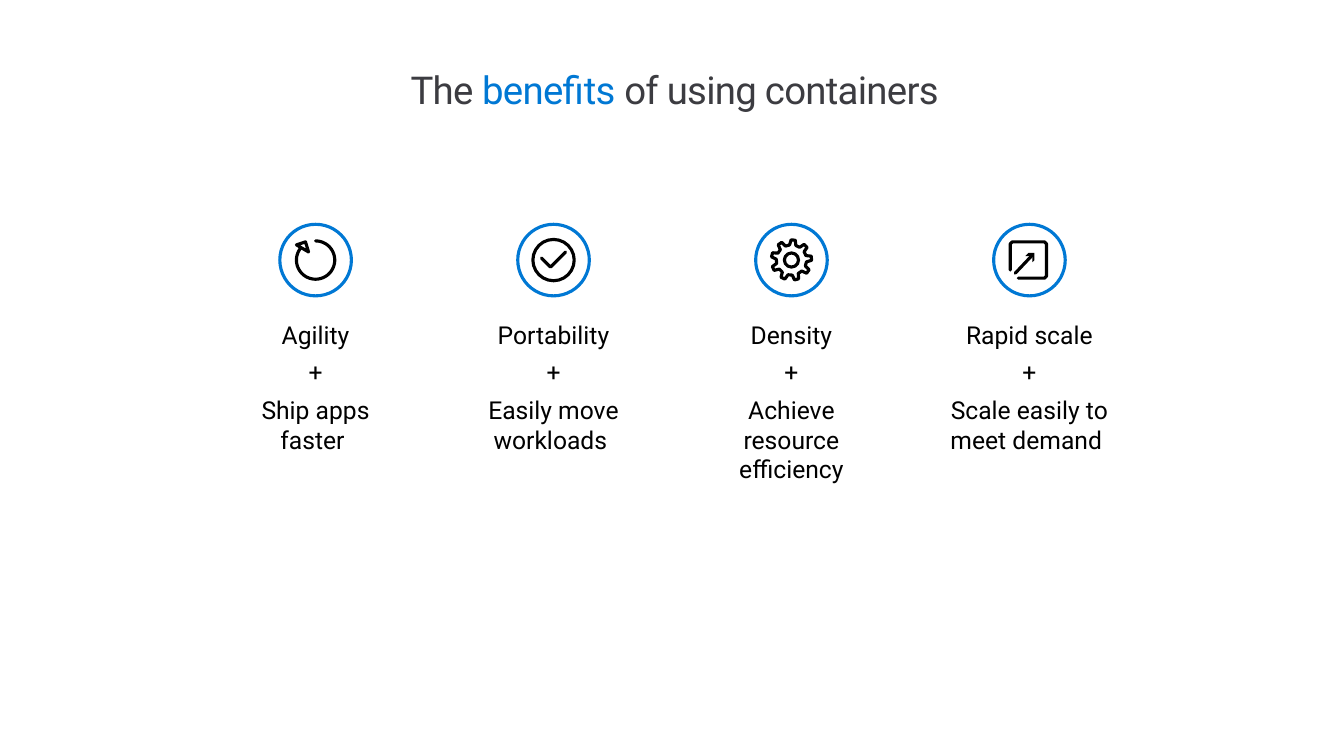
import math
from dataclasses import dataclass

import lxml.etree
import pptx
import pptx.dml.color
import pptx.enum.shapes
import pptx.enum.text
import pptx.oxml.ns
import pptx.util

Inches = pptx.util.Inches
Point = tuple[float, float]

COLORS = {"ink": "000000", "title": "3C3C41", "accent": "0078D4", "paper": "FFFFFF"}
FRAME_FORMAT = {
    "margin_left": 0,
    "margin_top": 0,
    "margin_right": 0,
    "margin_bottom": 0,
    "word_wrap": True,
    "vertical_anchor": pptx.enum.text.MSO_ANCHOR.TOP,
    "auto_size": pptx.enum.text.MSO_AUTO_SIZE.SHAPE_TO_FIT_TEXT,
}
CENTER = pptx.enum.text.PP_ALIGN.CENTER
TITLE_PARAGRAPH = {"alignment": CENTER, "line_spacing": pptx.util.Pt(31.4)}
BODY_PARAGRAPH = {"alignment": CENTER, "space_after": pptx.util.Pt(5.9)}
TITLE_FONT = {"name": "Roboto", "size": pptx.util.Pt(27.4), "bold": False}
BODY_FONT = {"name": "Roboto", "size": pptx.util.Pt(17.6)}

FIRST_X, PITCH, ICON_Y = 3.13, 2.36, 2.58
BADGE_SIZE = 0.71
TEXT_TOP = 3.17


@dataclass
class Outline:
    points: list[Point]
    closed: bool = False
    fill: str | None = None
    stroke: str | None = "ink"


@dataclass
class Ring:
    diameter: float


@dataclass
class Stroke:
    start: Point
    end: Point


@dataclass
class Benefit:
    name: str
    detail: str
    text_width: float
    text_height: float
    icon: list[Outline | Ring | Stroke]


def polar(radius: float, degrees: float) -> Point:
    angle = math.radians(degrees)
    return radius * math.cos(angle), radius * math.sin(angle)


def gear_points(teeth: int = 9) -> list[Point]:
    profile = [(0.15, -12), (0.2, -6), (0.2, 6), (0.15, 12)]
    return [
        polar(radius, 75 + tooth * 360 / teeth + offset)
        for tooth in range(teeth)
        for radius, offset in profile
    ]


BENEFITS = [
    Benefit("Agility", "Ship apps faster ", 1.69, 1.36, [
        Outline([polar(0.19, degrees) for degrees in range(-90, 221, 5)]),
        Outline([(-0.19, -0.15), (-0.1, -0.18), (-0.07, -0.08)], True, "paper"),
    ]),
    Benefit("Portability", "Easily move workloads ", 1.8, 1.36, [
        Outline([(0.12, -0.08), (-0.03, 0.07), (-0.12, -0.02)]),
        Ring(0.41),
    ]),
    Benefit("Density", "Achieve resource efficiency", 1.86, 1.33, [
        Outline(gear_points(), True),
        Ring(0.14),
    ]),
    Benefit("Rapid scale", "Scale easily to meet demand ", 1.67, 1.36, [
        Stroke((-0.14, 0.13), (0.03, -0.05)),
        Outline([(0.03, 0.02), (0.03, -0.04), (-0.04, -0.04), (-0.01, -0.07),
                 (0.05, -0.07), (0.05, 0)], True, "ink", None),
        Outline([(-0.11, 0.18), (0.15, 0.18), (0.17, 0.16), (0.17, -0.16),
                 (0.15, -0.18), (-0.17, -0.18), (-0.19, -0.16), (-0.19, 0.1)]),
    ]),
]


def color(name: str) -> pptx.dml.color.RGBColor:
    return pptx.dml.color.RGBColor.from_string(COLORS[name])


def apply_format(target: object, values: dict) -> None:
    for attribute, value in values.items():
        setattr(target, attribute, value)


def style_line(shape, stroke: str | None) -> None:
    if stroke is None:
        shape.line.fill.background()
        return
    shape.line.color.rgb = color(stroke)
    shape.line.width = pptx.util.Pt(2.25)
    line = shape.element.spPr.find(pptx.oxml.ns.qn("a:ln"))
    line.set("cap", "rnd")
    lxml.etree.SubElement(line, pptx.oxml.ns.qn("a:round"))


def style_shape(shape, fill: str | None, stroke: str | None) -> None:
    shape.shadow.inherit = False
    if fill is None:
        shape.fill.background()
    else:
        shape.fill.solid()
        shape.fill.fore_color.rgb = color(fill)
    style_line(shape, stroke)


def add_circle(shapes, center_x: float, diameter: float, fill: str | None, stroke: str) -> None:
    circle = shapes.add_shape(
        pptx.enum.shapes.MSO_SHAPE.OVAL,
        Inches(center_x - diameter / 2), Inches(ICON_Y - diameter / 2),
        Inches(diameter), Inches(diameter),
    )
    style_shape(circle, fill, stroke)


def add_outline(shapes, center_x: float, outline: Outline) -> None:
    points = [(Inches(center_x + x), Inches(ICON_Y + y)) for x, y in outline.points]
    builder = shapes.build_freeform(*points[0])
    builder.add_line_segments(points[1:], close=outline.closed)
    style_shape(builder.convert_to_shape(), outline.fill, outline.stroke)


def add_stroke(shapes, center_x: float, stroke: Stroke) -> None:
    ends = [Inches(value) for x, y in (stroke.start, stroke.end)
            for value in (center_x + x, ICON_Y + y)]
    connector = shapes.add_connector(pptx.enum.shapes.MSO_CONNECTOR.STRAIGHT, *ends)
    style_line(connector, "ink")
    lxml.etree.SubElement(connector.element.spPr, pptx.oxml.ns.qn("a:effectLst"))


def add_icon(slide, center_x: float, benefit: Benefit) -> None:
    shapes = slide.shapes.add_group_shape().shapes
    add_circle(shapes, center_x, BADGE_SIZE, "paper", "accent")
    for part in benefit.icon:
        if isinstance(part, Outline):
            add_outline(shapes, center_x, part)
        elif isinstance(part, Ring):
            add_circle(shapes, center_x, part.diameter, None, "ink")
        else:
            add_stroke(shapes, center_x, part)


def add_benefit_text(slide, center_x: float, benefit: Benefit) -> None:
    box = slide.shapes.add_textbox(
        Inches(center_x - benefit.text_width / 2), Inches(TEXT_TOP),
        Inches(benefit.text_width), Inches(benefit.text_height),
    )
    frame = box.text_frame
    apply_format(frame, FRAME_FORMAT)
    frame.text = "\n".join([benefit.name, "+", benefit.detail])
    for paragraph in frame.paragraphs:
        apply_format(paragraph, BODY_PARAGRAPH)
        for run in paragraph.runs:
            apply_format(run.font, BODY_FONT)
            run.font.color.rgb = color("ink")


def format_title(title) -> None:
    apply_format(title, {"left": Inches(3.35), "top": Inches(0.68),
                         "width": Inches(6.68), "height": Inches(0.43)})
    apply_format(title.text_frame, FRAME_FORMAT)
    paragraph = title.text_frame.paragraphs[0]
    apply_format(paragraph, TITLE_PARAGRAPH)
    for text, tint in (("The ", "title"), ("benefits", "accent"),
                       (" of using containers", "title")):
        run = paragraph.add_run()
        run.text = text
        apply_format(run.font, TITLE_FONT)
        run.font.color.rgb = color(tint)
        run._r.get_or_add_rPr().set("spc", "-50")


def main() -> None:
    presentation = pptx.Presentation()
    presentation.slide_width, presentation.slide_height = Inches(13.33), Inches(7.5)
    slide = presentation.slides.add_slide(presentation.slide_layouts[5])
    format_title(slide.shapes.title)
    for index, benefit in enumerate(BENEFITS):
        center_x = FIRST_X + index * PITCH
        add_icon(slide, center_x, benefit)
        add_benefit_text(slide, center_x, benefit)
    presentation.save("out.pptx")


if __name__ == "__main__":
    main()
